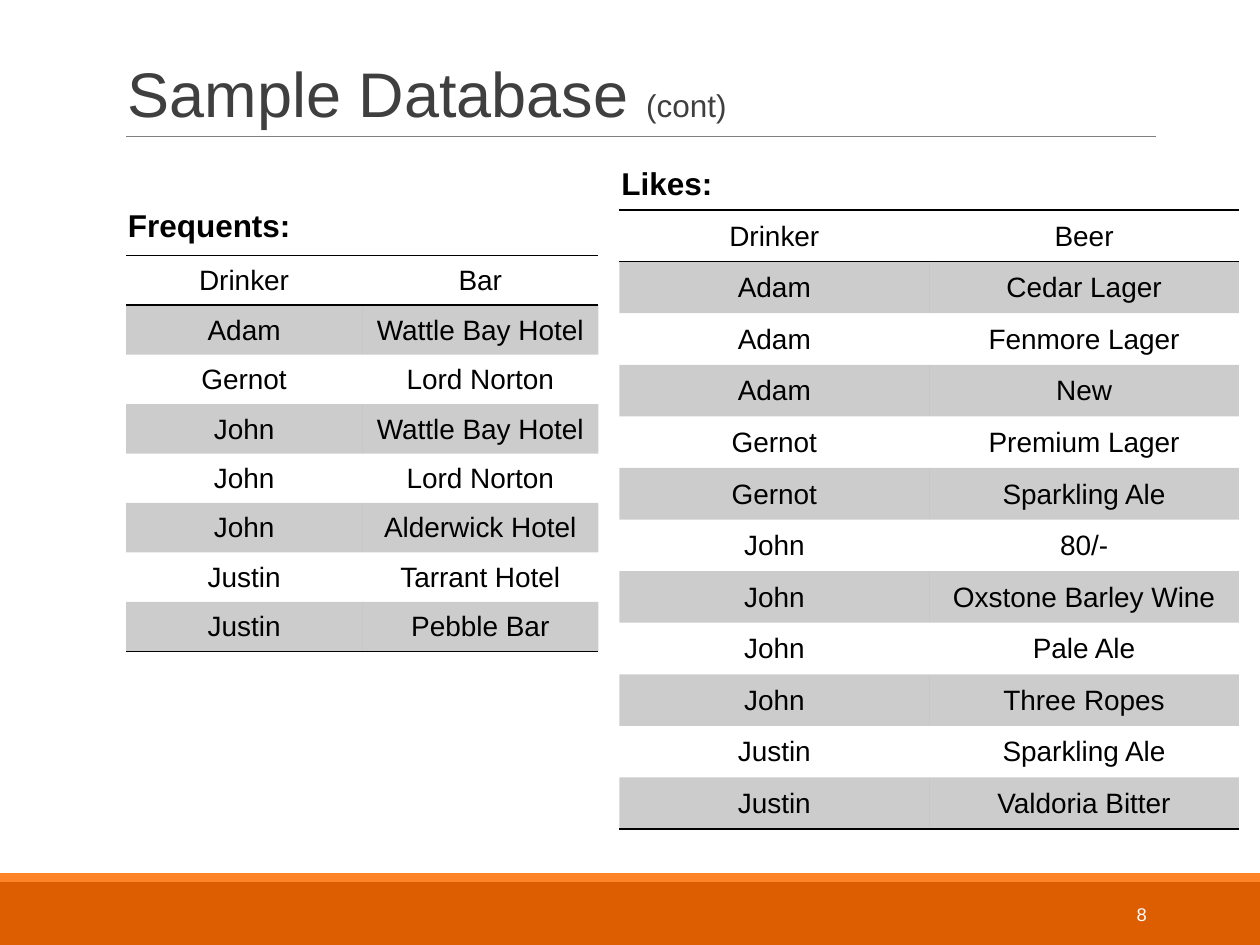
"""Build the sample database slide with its Frequents and Likes tables."""
from lxml import etree
from pptx import Presentation
from pptx.dml.color import RGBColor
from pptx.enum.shapes import MSO_CONNECTOR, MSO_SHAPE
from pptx.enum.text import MSO_ANCHOR, PP_ALIGN
from pptx.oxml import parse_xml
from pptx.oxml.ns import nsdecls, qn
from pptx.util import Inches, Pt

RECT = MSO_SHAPE.RECTANGLE
LINE = MSO_CONNECTOR.STRAIGHT
TOP, MIDDLE, BOTTOM = MSO_ANCHOR.TOP, MSO_ANCHOR.MIDDLE, MSO_ANCHOR.BOTTOM
LEFT, CENTER, RIGHT = PP_ALIGN.LEFT, PP_ALIGN.CENTER, PP_ALIGN.RIGHT

THEME = {
    "font": "Arial",
    "ink": "000000", "title": "3F3F3F", "rule": "7F7F7F", "page": "FFFFFF",
    "bar": "DC5E00", "strip": "FF8427",
    "head": 36, "label": 18, "body": 16, "foot": 10.5,
    "thin": 0.75, "edge": 1, "shade": 20,
    "style": "{2D5ABB26-0587-4C30-8999-92F81FD0307C}",
}

deck = Presentation()
deck.slide_width, deck.slide_height = Inches(10), Inches(7.5)
slide = deck.slides.add_slide(deck.slide_layouts[6])
UNIT = deck.slide_width / 120


def grid(*spots):
    return [round(spot * UNIT) for spot in spots]


def write(par, text, size, color, bold=False):
    run = par.add_run()
    run.text = text
    looks = {"name": THEME["font"], "size": Pt(THEME[size]), "bold": bold}
    for key, value in looks.items():
        setattr(run.font, key, value)
    run.font.color.rgb = RGBColor.from_string(THEME[color])


for color, top, tall in [("bar", 84, 6), ("strip", 83.15, 0.85)]:
    band = slide.shapes.add_shape(RECT, *grid(0, top, 120, tall))
    band.shadow.inherit = False
    band.fill.solid()
    band.fill.fore_color.rgb = RGBColor.from_string(THEME[color])
    band.line.fill.background()

rule = slide.shapes.add_connector(LINE, *grid(12, 13, 110.1, 13))
rule.line.color.rgb = RGBColor.from_string(THEME["rule"])
rule.line.width = Pt(THEME["thin"])
etree.SubElement(rule._element.spPr, qn("a:effectLst"))

texts = [
    ((11, 3.75, 98, 9.25), BOTTOM, LEFT, 0.85,
     [("Sample Database ", "head", "title"), ("(cont)", "label", "title")]),
    ((97.4, 84.7, 13, 4.8), MIDDLE, RIGHT, 1, [("8", "foot", "page")]),
    ((58, 15, 16, 4.8), TOP, LEFT, 1, [("Likes:", "label", "ink", True)]),
    ((11, 19, 20, 4.8), TOP, LEFT, 1, [("Frequents:", "label", "ink", True)]),
]
for place, anchor, align, space, runs in texts:
    frame = slide.shapes.add_textbox(*grid(*place)).text_frame
    frame.word_wrap = True
    frame.vertical_anchor = anchor
    par = frame.paragraphs[0]
    par.alignment, par.line_spacing = align, space
    for run in runs:
        write(par, *run)

likes = [
    ("Drinker", "Beer"),
    ("Adam", "Cedar Lager"),
    ("Adam", "Fenmore Lager"),
    ("Adam", "New"),
    ("Gernot", "Premium Lager"),
    ("Gernot", "Sparkling Ale"),
    ("John", "80/-"),
    ("John", "Oxstone Barley Wine"),
    ("John", "Pale Ale"),
    ("John", "Three Ropes"),
    ("Justin", "Sparkling Ale"),
    ("Justin", "Valdoria Bitter"),
]
visits = [
    ("Drinker", "Bar"),
    ("Adam", "Wattle Bay Hotel"),
    ("Gernot", "Lord Norton"),
    ("John", "Wattle Bay Hotel"),
    ("John", "Lord Norton"),
    ("John", "Alderwick Hotel"),
    ("Justin", "Tarrant Hotel"),
    ("Justin", "Pebble Bar"),
]
layout = {
    "vertical_anchor": MIDDLE,
    "margin_left": Inches(0.01), "margin_right": Inches(0.01),
    "margin_top": Inches(0.01), "margin_bottom": 0,
}
for rows, place in [(likes, (59, 20, 59, 59)), (visits, (12, 24.35, 45, 37.7))]:
    table = slide.shapes.add_table(len(rows), 2, *grid(*place)).table
    table.first_row = table.horz_banding = False
    table._tbl.tblPr.find(qn("a:tableStyleId")).text = THEME["style"]
    last = len(rows) - 1
    for r, row in enumerate(rows):
        sides = {0: ["lnT", "lnB"], last: ["lnB"]}.get(r, [])
        for c, text in enumerate(row):
            cell = table.cell(r, c)
            for key, value in layout.items():
                setattr(cell, key, value)
            par = cell.text_frame.paragraphs[0]
            par.alignment = CENTER
            write(par, text, "body", "ink")
            props = cell._tc.get_or_add_tcPr()
            if r % 2:
                cell.fill.solid()
                cell.fill.fore_color.rgb = RGBColor.from_string(THEME["ink"])
                tint = props.find(".//" + qn("a:srgbClr"))
                alpha = etree.SubElement(tint, qn("a:alpha"))
                alpha.set("val", str(THEME["shade"] * 1000))
            else:
                cell.fill.background()
            for spot, side in enumerate(sides):
                props.insert(spot, parse_xml(
                    f'<a:{side} {nsdecls("a")} w="{Pt(THEME["edge"])}"><a:solidFill>'
                    f'<a:srgbClr val="{THEME["ink"]}"/></a:solidFill></a:{side}>'))

deck.save("out.pptx")
